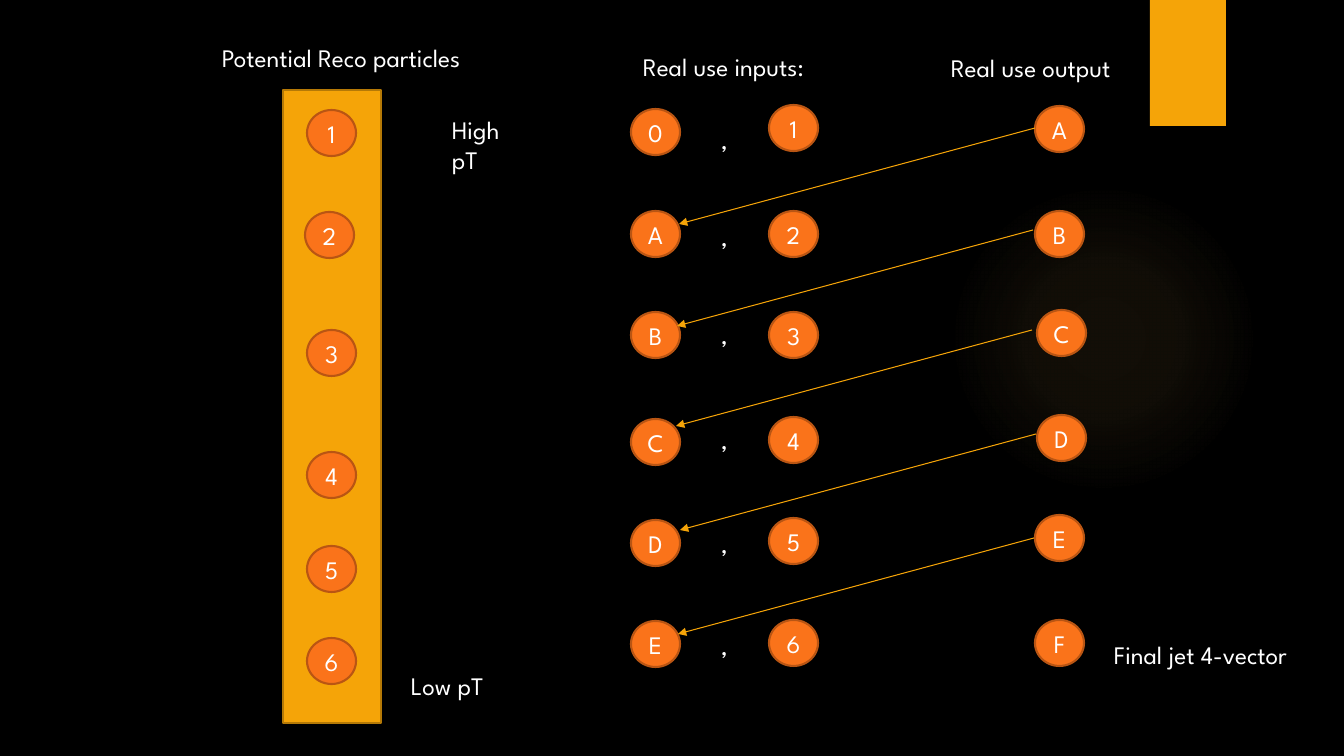
"""Builds the slide on feeding jet outputs back as inputs."""
from lxml import etree
from pptx import Presentation
from pptx.dml.color import RGBColor
from pptx.enum.shapes import MSO_CONNECTOR, MSO_SHAPE
from pptx.enum.text import MSO_ANCHOR, MSO_AUTO_SIZE, PP_ALIGN
from pptx.oxml.ns import qn
from pptx.util import Emu, Pt

RECT, OVAL = MSO_SHAPE.RECTANGLE, MSO_SHAPE.OVAL
LINE = MSO_CONNECTOR.STRAIGHT
LEFT, MID = PP_ALIGN.LEFT, PP_ALIGN.CENTER
TOP, CORE = MSO_ANCHOR.TOP, MSO_ANCHOR.MIDDLE
GROW = MSO_AUTO_SIZE.SHAPE_TO_FIT_TEXT

BLACK = RGBColor(0x00, 0x00, 0x00)
WHITE = RGBColor(0xFF, 0xFF, 0xFF)
GOLD = RGBColor(0xF5, 0xA4, 0x08)
BROWN = RGBColor(0xB5, 0x79, 0x06)
CORAL = RGBColor(0xFA, 0x73, 0x1A)
RUST = RGBColor(0xB9, 0x55, 0x13)
CREAM = RGBColor(0xFA, 0xC9, 0x6A)

FONT = "League Spartan"
SCALE = 914400 / 100.8
WIDE, HIGH = 1344, 756
DOT_W, DOT_H = 49, 46


def px(num):
    """Turn pixels into EMU."""
    return Emu(round(num * SCALE))


def write(frame, text, size=18, color=WHITE, align=LEFT, anchor=TOP, wrap=False):
    """Put formatted text into a frame."""
    frame.word_wrap = wrap
    frame.vertical_anchor = anchor
    para = frame.paragraphs[0]
    para.alignment = align
    run = para.add_run()
    run.text = text
    run.font.name = FONT
    run.font.size = Pt(size)
    run.font.color.rgb = color


class Deck:
    """Holds the style and the current slide."""

    def __init__(self):
        """Open a blank black slide."""
        self.show = Presentation()
        self.show.slide_width = px(WIDE)
        self.show.slide_height = px(HIGH)
        self.slide = self.show.slides.add_slide(self.show.slide_layouts[6])
        back = self.slide.background.fill
        back.solid()
        back.fore_color.rgb = BLACK
        self.shapes = self.slide.shapes

    def shape(self, kind, x, y, w, h, fill, edge=None):
        """Draw a filled preset shape."""
        item = self.shapes.add_shape(kind, px(x), px(y), px(w), px(h))
        item.shadow.inherit = False
        item.fill.solid()
        item.fill.fore_color.rgb = fill
        if edge is None:
            item.line.fill.background()
        else:
            item.line.color.rgb = edge
            item.line.width = Pt(1.5)
        return item

    def glow(self, x, y, size, stops):
        """Draw a faint round glow that fades outwards."""
        props = self.shape(OVAL, x, y, size, size, CREAM).element.spPr
        grad = etree.Element(qn("a:gradFill"), rotWithShape="1")
        parts = etree.SubElement(grad, qn("a:gsLst"))
        for pos, alpha in stops:
            stop = etree.SubElement(parts, qn("a:gs"), pos=str(pos * 1000))
            tint = etree.SubElement(stop, qn("a:srgbClr"), val=str(CREAM))
            etree.SubElement(tint, qn("a:alpha"), val=str(alpha * 1000))
        path = etree.SubElement(grad, qn("a:path"), path="circle")
        sides = dict.fromkeys("ltrb", "50000")
        etree.SubElement(path, qn("a:fillToRect"), **sides)
        props.replace(props.find(qn("a:solidFill")), grad)

    def dot(self, x, y, text):
        """Draw a labelled particle."""
        item = self.shape(OVAL, x, y, DOT_W, DOT_H, CORAL, RUST)
        frame = item.text_frame
        frame.margin_left = frame.margin_right = 0
        write(frame, text, align=MID, anchor=CORE)

    def label(self, x, y, w, text, h=40, wrap=False):
        """Place a text box."""
        frame = self.shapes.add_textbox(px(x), px(y), px(w), px(h)).text_frame
        frame.auto_size = GROW
        write(frame, text, wrap=wrap)

    def arrow(self, x, y, dx, dy):
        """Draw an arrow from a point by an offset."""
        item = self.shapes.add_connector(LINE, px(x), px(y), px(x + dx), px(y + dy))
        item.line.color.rgb = GOLD
        item.line.width = Pt(0.75)
        stroke = item.line._get_or_add_ln()
        etree.SubElement(stroke, qn("a:tailEnd"), type="triangle")
        etree.SubElement(item.element.spPr, qn("a:effectLst"))


def main():
    """Build and save the slide."""
    deck = Deck()
    deck.glow(949, 184, 310, [(0, 7), (36, 6), (69, 0)])
    deck.shape(RECT, 1150, 0, 76, 126, GOLD)
    deck.shape(RECT, 283, 90, 98, 633, GOLD, BROWN)

    for x, y, w, text in [
        (212, 37, 262, "Potential Reco particles"),
        (401, 665, 95, "Low pT"),
        (633, 46, 183, "Real use inputs:"),
        (941, 47, 182, "Real use output"),
        (1104, 634, 194, "Final jet 4-vector"),
    ]:
        deck.label(x, y, w, text)
    deck.label(442, 109, 90, "High pT", h=70, wrap=True)

    for names, spots in [
        ("123456", [(307, 110), (305, 212), (307, 330),
                    (307, 452), (307, 546), (307, 638)]),
        ("0ABCDE", [(631, y) for y in (109, 211, 312, 419, 520, 621)]),
        ("123456", [(769, y) for y in (105, 211, 312, 417, 518, 620)]),
        ("ABCDEF", [(1035, 106), (1035, 211), (1037, 310),
                    (1037, 415), (1035, 515), (1035, 620)]),
    ]:
        for name, (x, y) in zip(names, spots):
            deck.dot(x, y, name)

    for y in (119, 216, 314, 419, 523, 625):
        deck.label(711, y, 27, ",")

    for x, y in [(1035, 128), (1033, 230), (1032, 330), (1036, 434), (1034, 538)]:
        deck.arrow(x, y, -356, 96)

    deck.show.save("out.pptx")


main()
